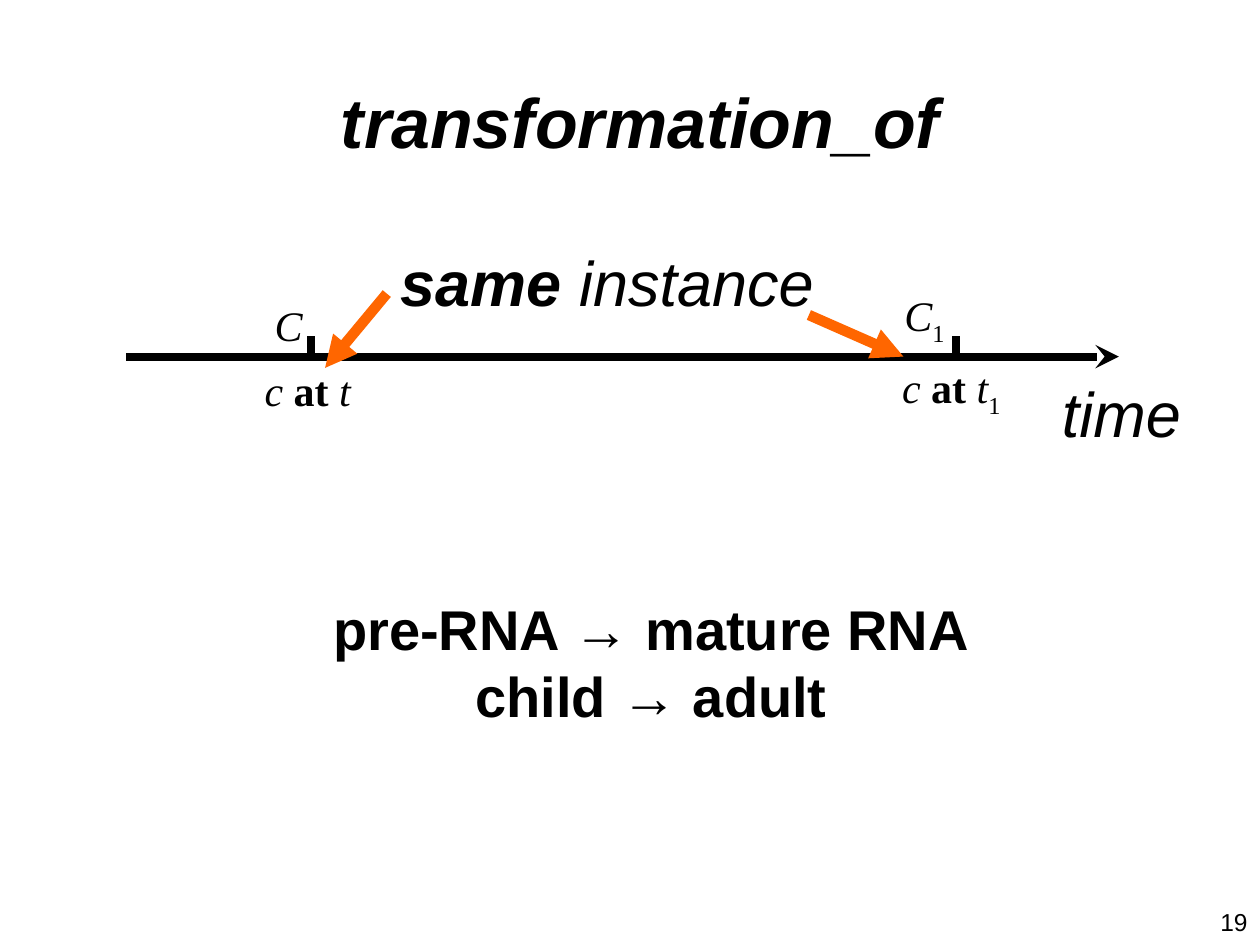
from lxml import etree
from pptx import Presentation
from pptx.dml.color import RGBColor
from pptx.enum.shapes import MSO_CONNECTOR
from pptx.enum.text import MSO_ANCHOR, PP_ALIGN
from pptx.oxml.ns import qn
from pptx.util import Inches, Pt

LINE = MSO_CONNECTOR.STRAIGHT
TOP, MIDDLE = MSO_ANCHOR.TOP, MSO_ANCHOR.MIDDLE
LEFT, CENTER, RIGHT = PP_ALIGN.LEFT, PP_ALIGN.CENTER, PP_ALIGN.RIGHT
SANS, SERIF = "Arial", "Times New Roman"
COLORS = {"ink": "000000", "arrow": "FF6600"}


class Deck:
    def __init__(self):
        self.prs = Presentation()
        self.prs.slide_width = Inches(10)
        self.prs.slide_height = Inches(7.5)
        self.slide = self.prs.slides.add_slide(self.prs.slide_layouts[6])

    def text(self, box, paras, size, font=SANS, align=LEFT, anchor=TOP,
             pad=0.1, after=0, indent=0):
        """Each paragraph is a list of (words, style) runs; style holds
        b (bold), i (italic), s (subscript). indent moves the first one."""
        shape = self.slide.shapes.add_textbox(*map(Inches, box))
        frame = shape.text_frame
        frame.word_wrap = True
        frame.vertical_anchor = anchor
        frame.margin_left = frame.margin_right = Inches(pad)
        frame.margin_top = frame.margin_bottom = Inches(pad / 2)
        for n, runs in enumerate(paras):
            para = frame.add_paragraph() if n else frame.paragraphs[0]
            para.alignment = align
            para.space_after = Pt(after)
            if indent and n == 0:
                para._p.get_or_add_pPr().set("marL", str(Inches(indent)))
            for words, style in runs:
                if words == "\n":
                    para.add_line_break()
                    continue
                run = para.add_run()
                run.text = words
                run.font.name, run.font.size = font, Pt(size)
                run.font.bold, run.font.italic = "b" in style, "i" in style
                run.font.color.rgb = RGBColor.from_string(COLORS["ink"])
                if "s" in style:
                    run._r.get_or_add_rPr().set("baseline", "-25000")

    def line(self, start, end, color="ink", width=4.5, tip=None):
        """tip is (end tag, arrowhead type)."""
        link = self.slide.shapes.add_connector(
            LINE, *map(Inches, (*start, *end)))
        link.line.width = Pt(width)
        link.line.color.rgb = RGBColor.from_string(COLORS[color])
        if tip:
            tag, kind = tip
            etree.SubElement(link.line._get_or_add_ln(), qn(tag), type=kind)
        etree.SubElement(link._element.spPr, qn("a:effectLst"))


def main():
    deck = Deck()
    deck.text((0.58, 0.33, 9, 1.25), [[("transformation_of", "bi")]], 40,
              align=CENTER, anchor=MIDDLE)

    # Time axis
    axis = 2.83
    deck.line((1, axis), (8.88, axis), tip=("a:tailEnd", "stealth"))
    for x in (2.47, 7.59):
        deck.line((x, axis - 0.16), (x, axis))
    deck.text((8.33, 2.92, 1.6, 0.7), [[("time", "i")]], 36)

    # Class and instance labels
    at = [("c ", "i"), ("at ", "b"), ("t", "i")]
    deck.text((2.02, 2.34, 1.06, 1.12), [[("C", "i")], at], 24, SERIF,
              pad=0.08, after=8, indent=0.08)
    deck.text((7.08, 2.25, 1.2, 0.56), [[("C", "i"), ("1", "s")]], 24, SERIF)
    deck.text((7.08, 2.83, 1.2, 0.51), [at + [("1", "s")]], 24, SERIF,
              pad=0.08)

    # Same instance at both times
    deck.text((3.08, 1.88, 3.83, 0.7),
              [[("same ", "bi"), ("instance", "i")]], 36)
    for tip, tail in (((7.17, axis), (6.42, 2.5)),
                      ((2.58, 2.92), (3.07, 2.33))):
        deck.line(tip, tail, "arrow", 6, ("a:headEnd", "triangle"))

    deck.text((2.42, 4.67, 5.5, 1.17),
              [[("pre-RNA → mature RNA", "b"), ("\n", ""),
                ("child → adult", "b")]], 32, align=CENTER)
    deck.text((7.67, 7.15, 2.33, 0.35), [[("19", "")]], 14, align=RIGHT)
    deck.prs.save("out.pptx")


if __name__ == "__main__":
    main()
